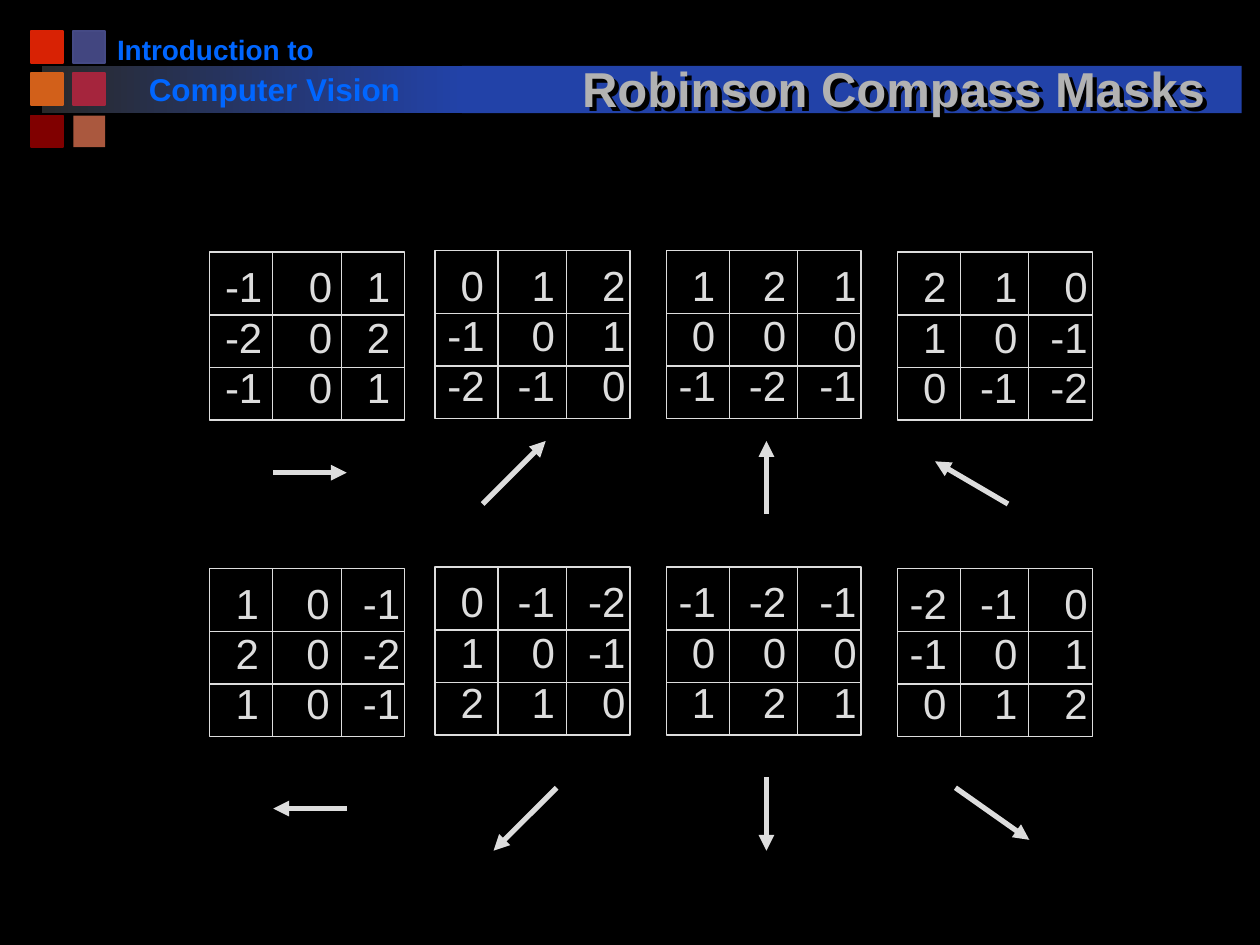
from dataclasses import dataclass

from lxml.etree import SubElement
from pptx import Presentation
from pptx.dml.color import RGBColor
from pptx.enum.shapes import MSO_CONNECTOR, MSO_SHAPE
from pptx.enum.text import MSO_ANCHOR, PP_ALIGN
from pptx.oxml import parse_xml
from pptx.oxml.ns import nsdecls, qn
from pptx.util import Cm, Pt

LIGHT = "DDDDDD"
BAND_BLUE = "2242A8"
HEADER_BLUE = "0066FF"
GRID_WIDTH, GRID_HEIGHT = 3.93, 3.39
COLUMN_LINES = (1.27, 2.65)
ROW_LINES = (1.27, 2.33)
SQUARE_START, SQUARE_SIZE, SQUARE_PITCH = 0.63, 0.64, 0.85
SQUARE_COLORS = (("D82204", "424680"), ("D2601A", "A5253D"), ("800000", "AA583E"))


@dataclass
class Mask:
    left: float
    top: float
    values: str
    arrow: tuple[float, float, float, float]
    tabs: tuple[float, float, float] = (0.74, 2.17, 3.59)


MASKS = (
    Mask(4.23, 5.08, "-1 0 1/-2 0 2/-1 0 1", (5.51, 9.53, 6.99, 9.53), (0.81, 2.22, 3.39)),
    Mask(8.77, 5.05, "0 1 2/-1 0 1/-2 -1 0", (9.73, 10.16, 11, 8.89)),
    Mask(13.43, 5.05, "1 2 1/0 0 0/-1 -2 -1", (15.45, 10.36, 15.45, 8.89)),
    Mask(18.09, 5.08, "2 1 0/1 0 -1/0 -1 -2", (20.32, 10.16, 18.85, 9.3)),
    Mask(4.23, 11.46, "1 0 -1/2 0 -2/1 0 -1", (6.99, 16.3, 5.51, 16.3)),
    Mask(8.77, 11.43, "0 -1 -2/1 0 -1/2 1 0", (11.22, 15.88, 9.95, 17.15)),
    Mask(13.43, 11.43, "-1 -2 -1/0 0 0/1 2 1", (15.45, 15.67, 15.45, 17.15)),
    Mask(18.09, 11.46, "-2 -1 0/-1 0 1/0 1 2", (19.26, 15.88, 20.75, 16.93)),
)


def color(value: str) -> RGBColor:
    """Turn a hex string into a colour."""
    return RGBColor.from_string(value)


def write(paragraph, text: str, *, size: float, fill: str, bold=False, align=PP_ALIGN.LEFT):
    """Set the formatted text of a paragraph."""
    paragraph.text = text
    paragraph.alignment = align
    for run in paragraph.runs:
        run.font.size = Pt(size)
        run.font.bold = bold
        run.font.name = "Arial"
        run.font.color.rgb = color(fill)


def add_rectangle(slide, left: float, top: float, width: float, height: float, fill=None):
    """Draw a rectangle without outline, filled if a colour is given."""
    shape = slide.shapes.add_shape(
        MSO_SHAPE.RECTANGLE, Cm(left), Cm(top), Cm(width), Cm(height)
    )
    shape.shadow.inherit = False
    shape.line.fill.background()
    if fill:
        shape.fill.solid()
        shape.fill.fore_color.rgb = color(fill)
    else:
        shape.fill.background()
    return shape


def set_line(shape, fill: str, width: float) -> None:
    """Set the colour and width of a line."""
    shape.line.color.rgb = color(fill)
    shape.line.width = Pt(width)


def add_line(slide, ends: tuple[float, ...], width: float):
    """Draw a light straight line."""
    line = slide.shapes.add_connector(MSO_CONNECTOR.STRAIGHT, *map(Cm, ends))
    set_line(line, LIGHT, width)
    SubElement(line.element.spPr, qn("a:effectLst"))
    return line


def add_text_frame(slide, *box: float):
    """Add a wrapping text box and return its frame."""
    frame = slide.shapes.add_textbox(*map(Cm, box)).text_frame
    frame.word_wrap = True
    return frame


def add_header(slide) -> None:
    """Draw the band, the coloured squares and the course name."""
    fade = add_rectangle(slide, 0.84, 1.33, 8.5, 0.95, BAND_BLUE)
    fade.fill.gradient()
    fade.fill.gradient_angle = 0
    for stop, value in zip(fade.fill.gradient_stops, ("292929", BAND_BLUE)):
        stop.color.rgb = color(value)
    for row, row_colors in enumerate(SQUARE_COLORS):
        for column, fill in enumerate(row_colors):
            left = SQUARE_START + column * SQUARE_PITCH
            top = SQUARE_START + row * SQUARE_PITCH
            square = add_rectangle(slide, left, top, SQUARE_SIZE, SQUARE_SIZE, fill)
            if fill != "AA583E":
                set_line(square, "454A85" if fill == "424680" else fill, 1)
    add_rectangle(slide, 9.31, 1.33, 15.72, 0.95, BAND_BLUE)
    course = add_text_frame(slide, 2.11, 0.53, 4.52, 0.94)
    write(course.paragraphs[0], "Introduction to", size=16, fill=HEADER_BLUE, bold=True)
    course = add_text_frame(slide, 2.75, 1.28, 7.19, 1.02)
    write(course.paragraphs[0], "Computer Vision", size=18, fill=HEADER_BLUE, bold=True)


def format_title(slide) -> None:
    """Place the title in front of the band and give it a shadow."""
    title = slide.shapes.title
    title.left, title.top, title.width, title.height = map(Cm, (10.77, 0.79, 14.48, 1.7))
    title.text_frame.vertical_anchor = MSO_ANCHOR.BOTTOM
    write(title.text_frame.paragraphs[0], "Robinson Compass Masks", size=28,
          fill="B2B2B2", bold=True, align=PP_ALIGN.CENTER)
    title.fill.background()
    title.element.spPr.append(parse_xml(
        f'<a:effectLst {nsdecls("a")}><a:outerShdw dist="45720" dir="2700000">'
        '<a:srgbClr val="000000"/></a:outerShdw></a:effectLst>'
    ))
    title.element.getparent().append(title.element)


def set_tabs(paragraph, positions: tuple[float, ...]) -> None:
    """Give a paragraph right-aligned tab stops."""
    tab_list = SubElement(paragraph._p.get_or_add_pPr(), qn("a:tabLst"))
    for position in positions:
        SubElement(tab_list, qn("a:tab"), pos=str(int(Cm(position))), algn="r")


def add_mask(slide, mask: Mask) -> None:
    """Draw the numbers and the grid of one three by three mask."""
    left, top = mask.left, mask.top
    right, bottom = left + GRID_WIDTH, top + GRID_HEIGHT
    frame = add_text_frame(slide, left, top + 0.05, 4.3, 3.3)
    for index, row in enumerate(mask.values.split("/")):
        paragraph = frame.add_paragraph() if index else frame.paragraphs[0]
        set_tabs(paragraph, mask.tabs)
        paragraph.line_spacing = Pt(28.8)
        write(paragraph, "".join(f"\t{value}" for value in row.split()), size=24, fill=LIGHT)
    set_line(add_rectangle(slide, left, top, GRID_WIDTH, GRID_HEIGHT), LIGHT, 0.75)
    for row_line, column_line in zip(ROW_LINES, COLUMN_LINES):
        add_line(slide, (left, top + row_line, right, top + row_line), 0.75)
        add_line(slide, (left + column_line, top, left + column_line, bottom), 0.75)


def add_arrow(slide, ends: tuple[float, ...]) -> None:
    """Draw the arrow for the direction of a mask."""
    arrow = add_line(slide, ends, 3)
    SubElement(arrow.line._get_or_add_ln(), qn("a:tailEnd"), type="triangle")


def main() -> None:
    """Build the slide and save it."""
    presentation = Presentation()
    presentation.slide_width, presentation.slide_height = Cm(25.4), Cm(19.05)
    slide = presentation.slides.add_slide(presentation.slide_layouts[5])
    slide.background.fill.solid()
    slide.background.fill.fore_color.rgb = color("000000")
    add_header(slide)
    format_title(slide)
    for mask in MASKS:
        add_mask(slide, mask)
    for mask in MASKS:
        add_arrow(slide, mask.arrow)
    presentation.save("out.pptx")


if __name__ == "__main__":
    main()
